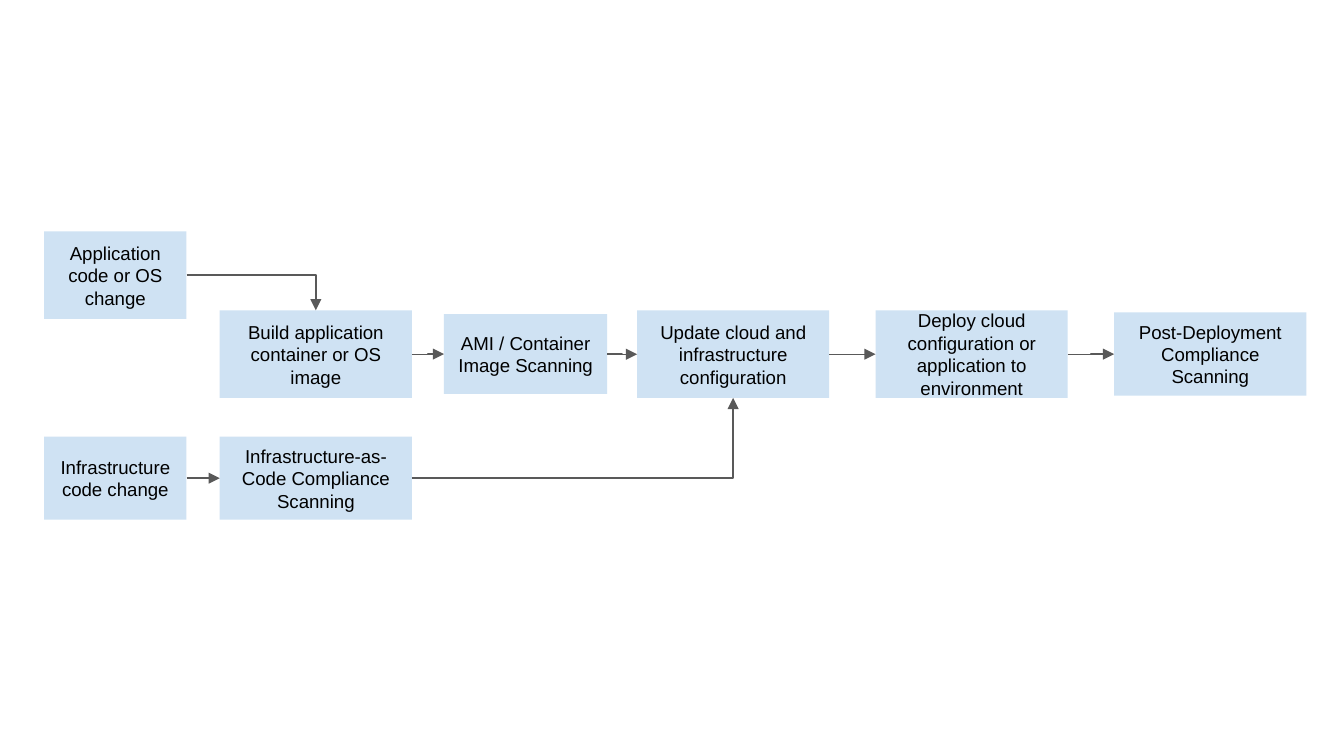
from collections import namedtuple
from dataclasses import dataclass

from lxml.etree import SubElement
from pptx import Presentation
from pptx.dml.color import RGBColor as RGB
from pptx.enum.shapes import MSO_CONNECTOR as Wire, MSO_SHAPE as Shape
from pptx.enum.text import MSO_ANCHOR as Anchor, PP_ALIGN as Align
from pptx.oxml.ns import qn
from pptx.util import Inches, Pt


@dataclass(frozen=True)
class Theme:
    fill: RGB = RGB.from_string("CFE2F3")
    text: RGB = RGB.from_string("000000")
    line: RGB = RGB.from_string("595959")
    font: str = "Arial"
    size: Pt = Pt(10)
    rule: Pt = Pt(0.75)
    inset: Inches = Inches(0.1)


Box = namedtuple("Box", "left top width height")
Step = namedtuple("Step", "text left width height")  # percent of the lane
THEME = Theme()
WIDTH = Inches(10)
HEIGHT = WIDTH * 9 // 16
TOP, LEFT, BOTTOM, RIGHT = range(4)  # connection sites of a rectangle

# Column starts and widths, in percent of the slide's width
COLS = 3.28, 16.35, 33.03, 47.4, 65.15, 82.9
SLIM, MID, WIDE = 10.6, 12.15, 14.3

APP = [Step("Application code or OS change", COLS[0], SLIM, 100)]
BUILD = [
    Step("Build application container or OS image", COLS[1], WIDE, 100),
    Step("AMI / Container Image Scanning", COLS[2], MID, 91),
    Step("Update cloud and infrastructure configuration",
         COLS[3], WIDE, 100),
    Step("Deploy cloud configuration or application to environment",
         COLS[4], WIDE, 100),
    Step("Post-Deployment Compliance Scanning", COLS[5], WIDE, 95),
]
INFRA = [
    Step("Infrastructure code change", COLS[0], SLIM, 100),
    Step("Infrastructure-as-Code Compliance Scanning",
         COLS[1], WIDE, 100),
]


def band(top, height):
    """Return a full-width box from percentages of the slide's height."""
    return Box(0, top * HEIGHT / 100, WIDTH, height * HEIGHT / 100)


def card(page, box, text):
    shape = page.shapes.add_shape(Shape.RECTANGLE, *map(int, box))
    shape.shadow.inherit = False
    shape.fill.solid()
    shape.fill.fore_color.rgb = THEME.fill
    shape.line.fill.background()
    frame = shape.text_frame
    frame.word_wrap = True
    frame.vertical_anchor = Anchor.MIDDLE
    frame.margin_left = frame.margin_right = THEME.inset
    frame.margin_top = frame.margin_bottom = THEME.inset
    para = frame.paragraphs[0]
    para.text = text
    para.alignment = Align.CENTER
    para.font.name = THEME.font
    para.font.size = THEME.size
    para.font.color.rgb = THEME.text
    return shape


def link(page, start, end, site=LEFT):
    """Run an arrow from the right of start to a site of end."""
    wire = page.shapes.add_connector(Wire.ELBOW, 0, 0, 0, 0)
    wire.begin_connect(start, RIGHT)
    wire.end_connect(end, site)
    wire.line.color.rgb = THEME.line
    wire.line.width = THEME.rule
    props = wire._element.spPr
    if site != LEFT:
        props.find(qn("a:prstGeom")).set("prst", "bentConnector2")
    SubElement(props.find(qn("a:ln")), qn("a:tailEnd"), type="triangle")
    SubElement(props, qn("a:effectLst"))


def lane(page, box, steps):
    """Centre the steps on the lane's middle line and link them in order."""
    cards = []
    for step in steps:
        high = step.height * box.height / 100
        area = Box(box.left + step.left * box.width / 100,
                   box.top + (box.height - high) / 2,
                   step.width * box.width / 100, high)
        cards.append(card(page, area, step.text))
    for start, end in zip(cards, cards[1:]):
        link(page, start, end)
    return cards


def main():
    deck = Presentation()
    deck.slide_width, deck.slide_height = WIDTH, HEIGHT
    page = deck.slides.add_slide(deck.slide_layouts[6])
    app = lane(page, band(30.6, 11.6), APP)
    build = lane(page, band(41.05, 11.6), BUILD)
    infra = lane(page, band(57.75, 11), INFRA)
    link(page, app[-1], build[0], TOP)
    link(page, infra[-1], build[2], BOTTOM)
    deck.save("out.pptx")


if __name__ == "__main__":
    main()
